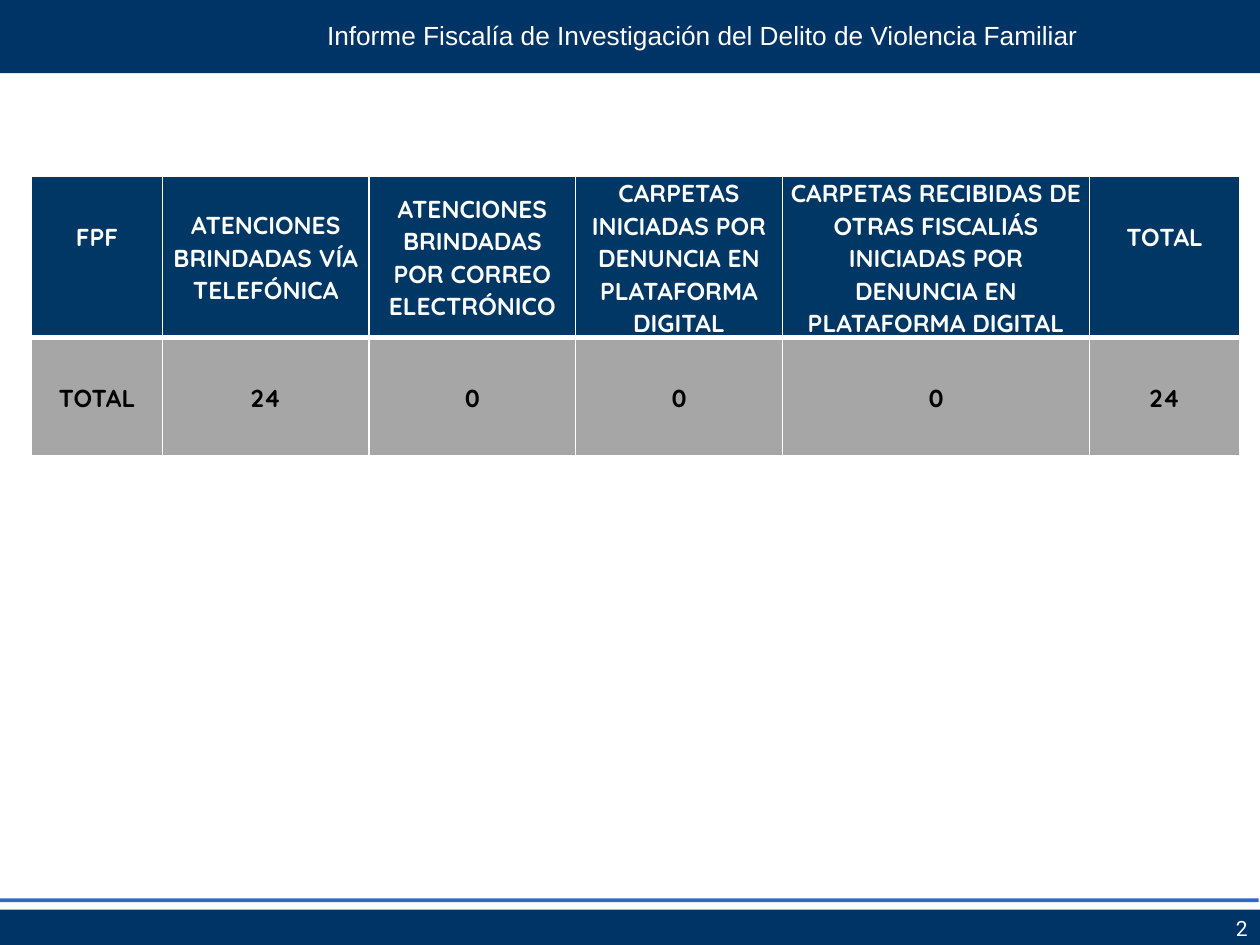
from lxml import etree
from pptx import Presentation
from pptx.dml.color import RGBColor
from pptx.enum.shapes import MSO_SHAPE
from pptx.enum.text import MSO_ANCHOR, MSO_AUTO_SIZE, PP_ALIGN
from pptx.oxml.ns import qn
from pptx.util import Inches, Pt

RECT = MSO_SHAPE.RECTANGLE
TOP, MIDDLE = MSO_ANCHOR.TOP, MSO_ANCHOR.MIDDLE
CENTER, RIGHT = PP_ALIGN.CENTER, PP_ALIGN.RIGHT

COLORS = {"navy": "003366", "blue": "3366CC", "head": "003765",
          "gray": "A6A6A6", "white": "FFFFFF", "black": "000000"}


def style(para, size, face, color, align, bold=False):
    para.alignment = align
    para.font.size = Pt(size)
    para.font.name = face
    para.font.bold = bold
    para.font.color.rgb = RGBColor.from_string(COLORS[color])


def border(cell, side, width):
    line = etree.SubElement(cell._tc.get_or_add_tcPr(), qn(f"a:ln{side}"),
                            w=str(Pt(width)))
    fill = etree.SubElement(line, qn("a:solidFill"))
    etree.SubElement(fill, qn("a:srgbClr"), val=COLORS["white"])


prs = Presentation()
prs.slide_width, prs.slide_height = Inches(10), Inches(7.5)
slide = prs.slides.add_slide(prs.slide_layouts[5])
shapes = slide.shapes

# Header and footer bands
for left, top, height, color in [(0, 0, 0.58, "navy"),
                                 (-0.01, 7.13, 0.03, "blue"),
                                 (0, 7.22, 0.29, "navy")]:
    band = shapes.add_shape(RECT, Inches(left), Inches(top),
                            Inches(10), Inches(height))
    band.shadow.inherit = False
    band.fill.solid()
    band.fill.fore_color.rgb = RGBColor.from_string(COLORS[color])
    band.line.fill.background()

# Page number
box = shapes.add_textbox(Inches(7.75), Inches(7.25), Inches(2.25), Inches(0.23))
frame = box.text_frame
frame.word_wrap = True
frame.vertical_anchor = MIDDLE
frame.text = "2"
style(frame.paragraphs[0], 12, "Roboto", "white", RIGHT)

# Table
heads = ["FPF",
         "ATENCIONES BRINDADAS VÍA TELEFÓNICA",
         "ATENCIONES BRINDADAS POR CORREO ELECTRÓNICO",
         "CARPETAS INICIADAS POR DENUNCIA EN PLATAFORMA DIGITAL",
         "CARPETAS RECIBIDAS DE OTRAS FISCALIÁS INICIADAS POR "
         "DENUNCIA EN PLATAFORMA DIGITAL",
         "TOTAL"]
totals = ["TOTAL", "24", "0", "0", "0", "24"]
widths = [1.04, 1.64, 1.64, 1.64, 2.44, 1.19]
rows = [(heads, 1.28, "head", "white", 3), (totals, 0.94, "gray", "black", 1)]

table = shapes.add_table(2, len(widths), Inches(0.25), Inches(1.4),
                         Inches(sum(widths)), Inches(2.22)).table
for col, width in zip(table.columns, widths):
    col.width = Inches(width)
for r, (texts, height, back, ink, rule) in enumerate(rows):
    table.rows[r].height = Inches(height)
    for c, text in enumerate(texts):
        cell = table.cell(r, c)
        cell.text = text
        cell.margin_left = cell.margin_right = Inches(0.05)
        cell.margin_top = cell.margin_bottom = 0
        cell.vertical_anchor = MIDDLE
        # The outer headings hang from the top
        if r == 0 and c in (0, len(widths) - 1):
            cell.vertical_anchor = TOP
            cell.margin_top = Inches(0.35)
        para = cell.text_frame.paragraphs[0]
        style(para, 14, "Quicksand", ink, CENTER, True)
        para.line_spacing = 1.06
        for side, weight in [("L", 1), ("R", 1), ("T", 1 if r == 0 else 3),
                             ("B", rule)]:
            border(cell, side, weight)
        cell.fill.solid()
        cell.fill.fore_color.rgb = RGBColor.from_string(COLORS[back])

# Title, in front of the header band
title = shapes.title
title.left, title.top = Inches(1.54), Inches(0.13)
title.width, title.height = Inches(8.07), Inches(0.4)
frame = title.text_frame
frame.text = "Informe Fiscalía de Investigación del Delito de Violencia Familiar"
frame.auto_size = MSO_AUTO_SIZE.NONE
frame.vertical_anchor = TOP
style(frame.paragraphs[0], 15, "Arial", "white", CENTER)
frame.paragraphs[0].line_spacing = 0.9
shapes._spTree.append(title._element)

prs.save("out.pptx")
